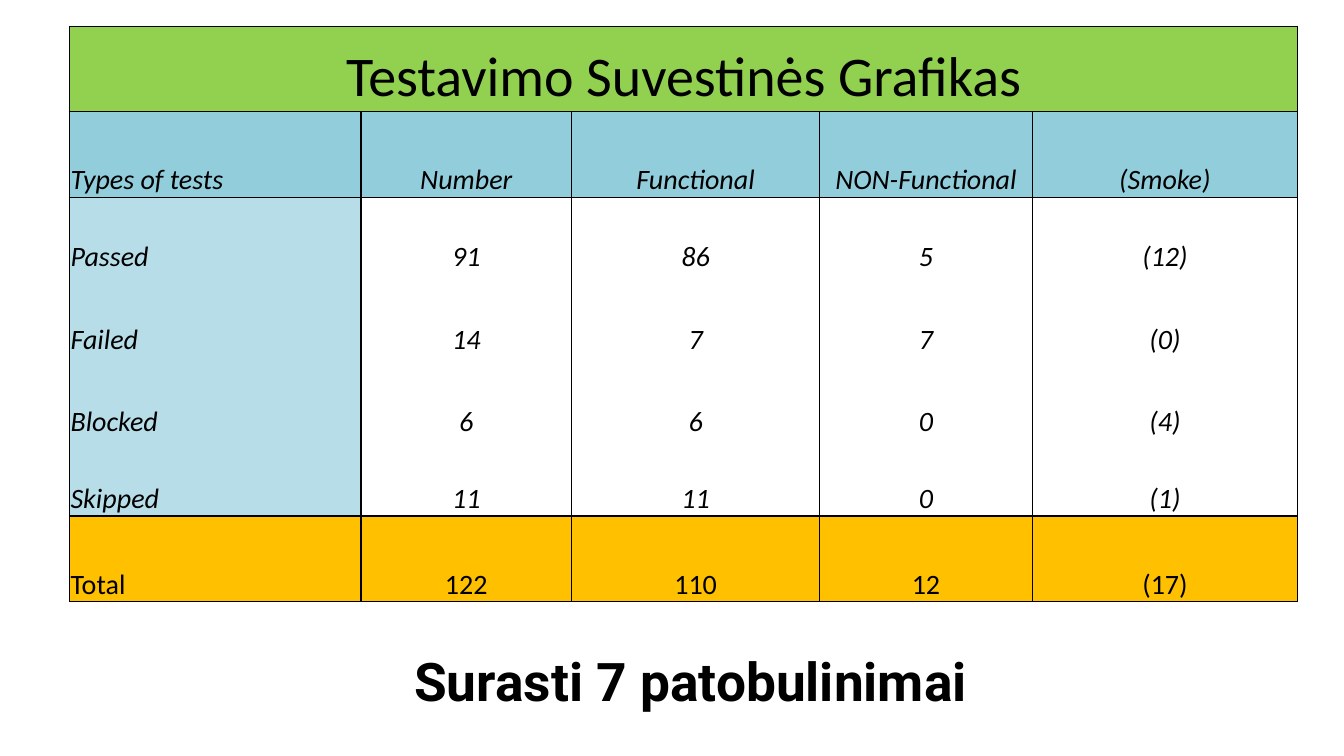
"""Build the test summary slide: a bordered results table above a closing line."""
from lxml.etree import SubElement
from pptx import Presentation
from pptx.dml.color import RGBColor
from pptx.enum.text import MSO_ANCHOR, MSO_AUTO_SIZE, PP_ALIGN
from pptx.oxml.ns import qn
from pptx.util import Inches, Pt

TITLE = "Testavimo Suvestinės Grafikas"
ROWS = [
    (TITLE, "", "", "", ""),
    ("Types of tests", "Number", "Functional", "NON-Functional", "(Smoke)"),
    ("Passed", "91", "86", "5", "(12)"),
    ("Failed", "14", "7", "7", "(0)"),
    ("Blocked", "6", "6", "0", "(4)"),
    ("Skipped", "11", "11", "0", "(1)"),
    ("Total\u00a0", "122", "110", "12", "(17)"),
]
CLOSING = "Surasti 7 patobulinimai"
COL_WIDTHS = [2.89, 2.09, 2.46, 2.11, 2.63]
ROW_HEIGHTS = [0.85, 0.85, 0.76, 0.82, 0.82, 0.76, 0.85]
COLORS = {"title": "92D050", "header": "92CDDC", "label": "B7DEE8",
          "total": "FFC000", "ink": "000000"}
TITLE_ROW, HEADER_ROW, FIRST_BODY, TOTAL_ROW = 0, 1, 2, len(ROWS) - 1
BANDS = {TITLE_ROW: "title", HEADER_ROW: "header", TOTAL_ROW: "total"}


def rgb(name):
    return RGBColor.from_string(COLORS[name])


def style_text(p, font, size, bold=False, italic=False):
    for r in p.runs:
        r.font.name, r.font.size = font, Pt(size)
        r.font.bold, r.font.italic = bold, italic
        r.font.color.rgb = rgb("ink")


def set_borders(cell, row):
    drawn = {"L", "R"}
    if row <= FIRST_BODY or row == TOTAL_ROW:
        drawn.add("T")
    if row < FIRST_BODY or row >= TOTAL_ROW - 1:
        drawn.add("B")
    tc_pr = cell._tc.get_or_add_tcPr()
    for side in "LRTB":
        ln = SubElement(tc_pr, qn(f"a:ln{side}"), w=str(Pt(1)))
        if side in drawn:
            fill = SubElement(ln, qn("a:solidFill"))
            SubElement(fill, qn("a:srgbClr"), val=COLORS["ink"])
        else:
            SubElement(ln, qn("a:noFill"))


def fill_cell(cell, row, col):
    set_borders(cell, row)
    color = BANDS.get(row, "label" if col == 0 else None)
    if color:
        cell.fill.solid()
        cell.fill.fore_color.rgb = rgb(color)
    else:
        cell.fill.background()
    cell.margin_left = cell.margin_right = cell.margin_top = Inches(0.01)
    cell.margin_bottom = 0
    cell.vertical_anchor = MSO_ANCHOR.BOTTOM
    if ROWS[row][col]:
        cell.text_frame.text = ROWS[row][col]
    p = cell.text_frame.paragraphs[0]
    centred = col > 0 or row == TITLE_ROW
    p.alignment = PP_ALIGN.CENTER if centred else PP_ALIGN.LEFT
    style_text(p, "Calibri", 40 if row == TITLE_ROW else 20,
               italic=row not in (TITLE_ROW, TOTAL_ROW))


prs = Presentation()
prs.slide_width, prs.slide_height = Inches(13.33), Inches(7.5)
s = prs.slides.add_slide(prs.slide_layouts[6])

table = s.shapes.add_table(
    len(ROWS), len(COL_WIDTHS), Inches(0.69), Inches(0.26),
    Inches(sum(COL_WIDTHS)), Inches(sum(ROW_HEIGHTS))).table
table.first_row = table.horz_banding = False
for column, width in zip(table.columns, COL_WIDTHS):
    column.width = Inches(width)
for table_row, height in zip(table.rows, ROW_HEIGHTS):
    table_row.height = Inches(height)
for row, values in enumerate(ROWS):
    for col in range(len(values)):
        fill_cell(table.cell(row, col), row, col)
table.cell(TITLE_ROW, 0).merge(table.cell(TITLE_ROW, len(COL_WIDTHS) - 1))

closing = s.shapes.add_textbox(Inches(4.01), Inches(6.33), Inches(6.04), Inches(0.84))
tf = closing.text_frame
tf.word_wrap = True
tf.auto_size = MSO_AUTO_SIZE.SHAPE_TO_FIT_TEXT
tf.margin_left = tf.margin_right = tf.margin_top = tf.margin_bottom = Inches(0.1)
tf.text = CLOSING
style_text(tf.paragraphs[0], "Roboto", 38, bold=True)

prs.save("out.pptx")
